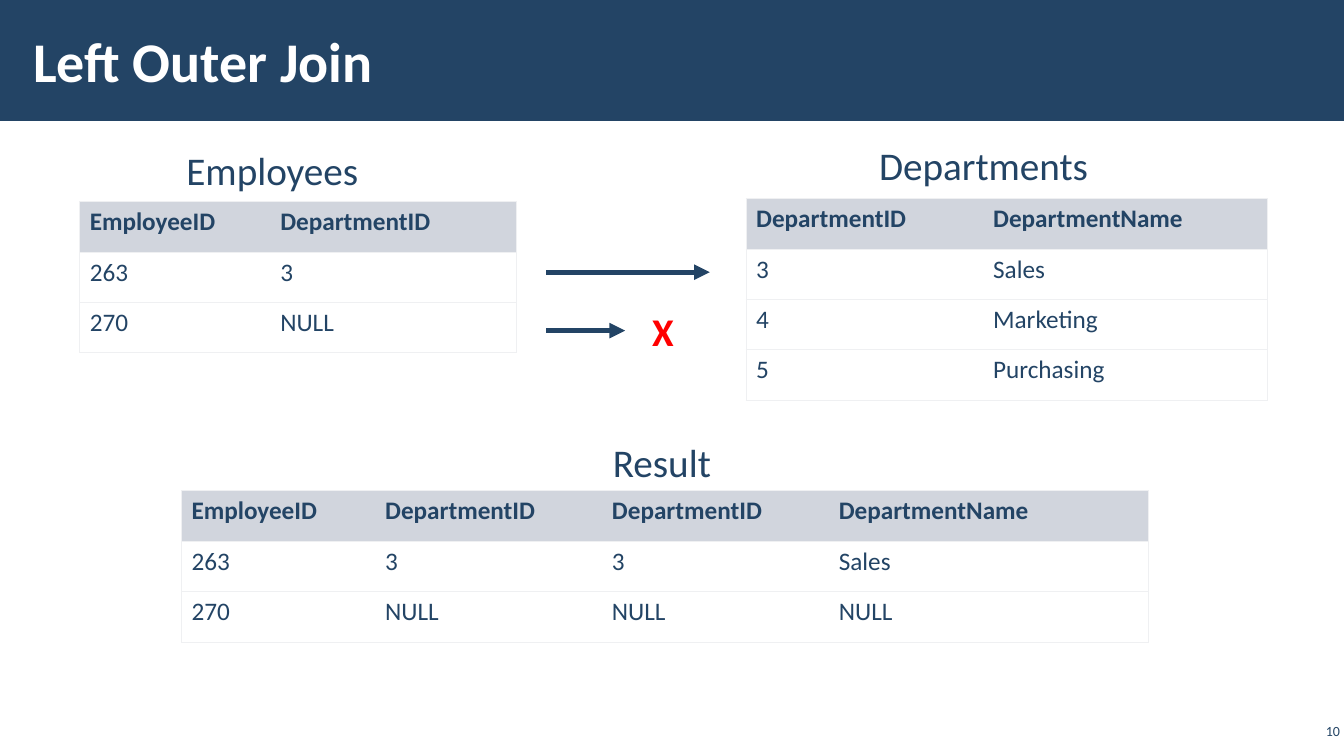
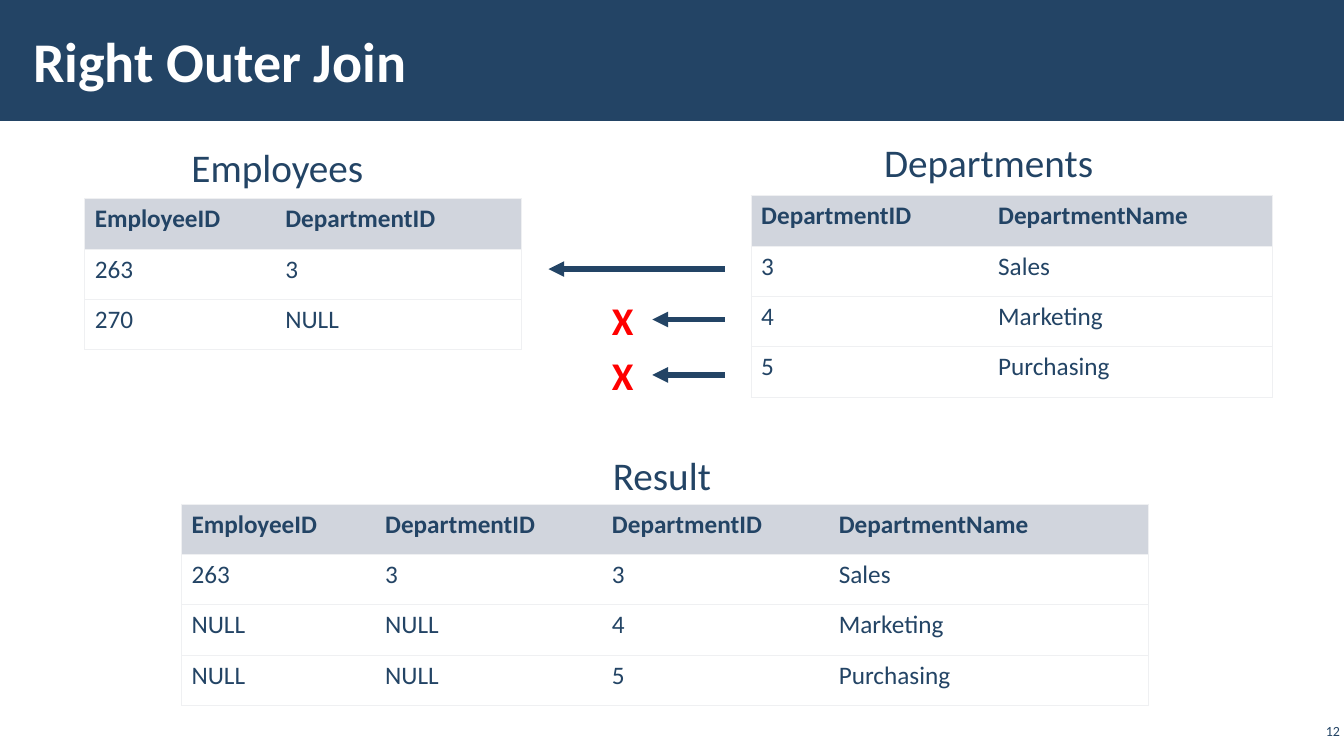
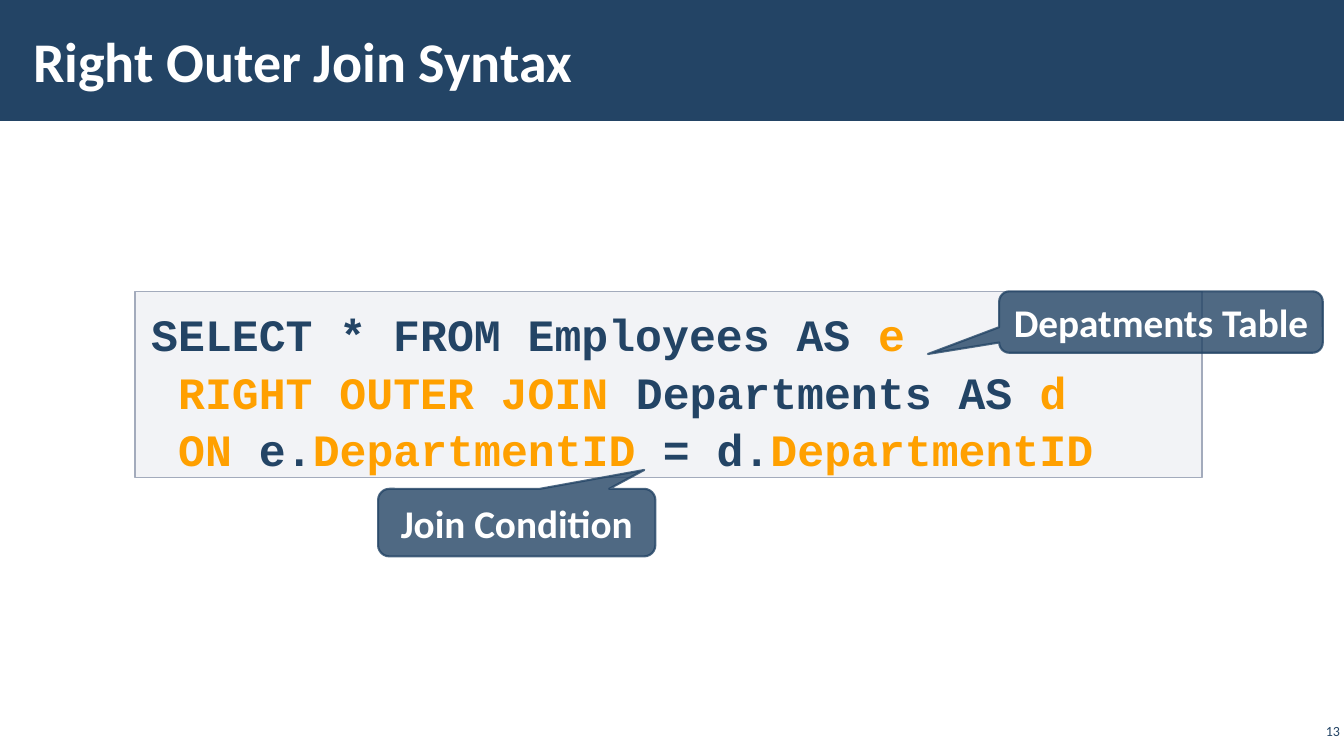
from dataclasses import dataclass

from pptx import Presentation
from pptx import util as u
from pptx.dml.color import RGBColor
from pptx.enum import shapes, text
from pptx.oxml import ns, xmlchemy

Inches = u.Inches


@dataclass(frozen=True)
class Theme:
    navy: str = "234465"
    white: str = "FFFFFF"
    red: str = "FF0000"
    orange: str = "FFA000"
    header_fill: str = "D1D5DD"
    cell_border: str = "EFF0F2"
    code_fill: str = "C2C7D2"
    code_border: str = "A3ABBC"
    body_font: str = "Calibri"
    code_font: str = "Courier New"
    title_size: float = 40
    code_size: float = 32
    label_size: float = 28
    cell_size: float = 18
    number_size: float = 10


THEME = Theme()
WIDTH, HEIGHT = 13.33, 7.5
ROW_HEIGHT = 0.5

DEPARTMENT_ROWS = [("3", "Sales"), ("4", "Marketing"), ("5", "Purchasing")]
EMPLOYEES = [("EmployeeID", "DepartmentID"), ("263", "3"), ("270", "NULL")]
DEPARTMENTS = [("DepartmentID", "DepartmentName"), *DEPARTMENT_ROWS]
RESULT_HEADER = EMPLOYEES[0] + DEPARTMENTS[0]
MATCHED_ROW = EMPLOYEES[1] + DEPARTMENTS[1]
LEFT_RESULT = [RESULT_HEADER, MATCHED_ROW, ("270", "NULL", "NULL", "NULL")]
RIGHT_RESULT = [RESULT_HEADER, MATCHED_ROW,
                *(("NULL", "NULL") + row for row in DEPARTMENT_ROWS[1:])]

CODE_LINES = [
    [("SELECT * FROM Employees AS ", THEME.navy), ("e", THEME.orange)],
    [(" ", THEME.navy), ("RIGHT OUTER JOIN ", THEME.orange),
     ("Departments AS ", THEME.navy), ("d", THEME.orange)],
    [(" ", THEME.navy), ("ON", THEME.orange), (" e.", THEME.navy),
     ("DepartmentID", THEME.orange), (" = d.", THEME.navy),
     ("DepartmentID", THEME.orange)],
]


def rgb(color):
    return RGBColor.from_string(color)


def style_run(run, size, color, bold=False, font=THEME.body_font):
    run.font.name = font
    run.font.size = u.Pt(size)
    run.font.bold = bold
    run.font.color.rgb = rgb(color)


def set_insets(frame, horizontal, vertical):
    frame.margin_left = frame.margin_right = Inches(horizontal)
    frame.margin_top = frame.margin_bottom = Inches(vertical)


def add_child(parent, tag, **attributes):
    child = xmlchemy.OxmlElement(tag)
    for name, value in attributes.items():
        child.set(name, value)
    parent.append(child)
    return child


def set_opacity(parent, percent):
    """Make the solid fill directly inside parent partly transparent."""
    color = parent.find(ns.qn("a:solidFill")).find(ns.qn("a:srgbClr"))
    add_child(color, "a:alpha", val=str(percent * 1000))


def add_text(slide, box, content, size, color, bold=False, wrap=False):
    """Place one line of text and return its frame."""
    frame = slide.shapes.add_textbox(*map(Inches, box)).text_frame
    frame.word_wrap = wrap
    frame.text = content
    style_run(frame.paragraphs[0].runs[0], size, color, bold)
    return frame


def add_filled_shape(slide, kind, box, fill, line, line_width, opacity):
    shape = slide.shapes.add_shape(kind, *map(Inches, box))
    shape.shadow.inherit = False
    shape.fill.solid()
    shape.fill.fore_color.rgb = rgb(fill)
    set_opacity(shape.element.spPr, opacity)
    shape.line.color.rgb = rgb(line)
    shape.line.width = u.Pt(line_width)
    return shape


def add_base_slide(presentation, title, number):
    """Start a slide with the title band and the slide number."""
    slide = presentation.slides.add_slide(presentation.slide_layouts[6])
    band = slide.shapes.add_shape(shapes.MSO_SHAPE.RECTANGLE, 0, 0,
                                  Inches(WIDTH), Inches(1.2))
    band.shadow.inherit = False
    band.fill.solid()
    band.fill.fore_color.rgb = rgb(THEME.navy)
    band.line.fill.background()

    title_frame = add_text(slide, (0.21, 0.11, 10.4, 0.97), title,
                           THEME.title_size, THEME.white, bold=True, wrap=True)
    set_insets(title_frame, 0.12, 0.04)
    number_frame = add_text(slide, (12.86, 7.14, 0.47, 0.22), number,
                            THEME.number_size, THEME.navy, wrap=True)
    set_insets(number_frame, 0.04, 0.04)
    number_frame.paragraphs[0].alignment = text.PP_ALIGN.RIGHT
    for frame in (title_frame, number_frame):
        frame.vertical_anchor = text.MSO_ANCHOR.MIDDLE
    return slide


def set_cell_borders(cell, visible_sides):
    properties = cell._tc.get_or_add_tcPr()
    for position, side in enumerate("LRTB"):
        line = xmlchemy.OxmlElement(f"a:ln{side}")
        line.set("w", str(u.Pt(0.75)))
        if side in visible_sides:
            fill = add_child(line, "a:solidFill")
            add_child(fill, "a:srgbClr", val=THEME.cell_border)
        else:
            add_child(line, "a:noFill")
        properties.insert(position, line)


def add_captioned_table(slide, left, top, rows, widths, caption, caption_box):
    """Place a table; caption_box is left, top (from the table) and width."""
    frame = slide.shapes.add_table(
        len(rows), len(widths), Inches(left), Inches(top),
        Inches(sum(widths)), Inches(ROW_HEIGHT * len(rows)))
    table = frame.table
    table.first_row = table.horz_banding = False
    for column, width in zip(table.columns, widths):
        column.width = Inches(width)
    for row_index, values in enumerate(rows):
        is_header = row_index == 0
        table.rows[row_index].height = Inches(ROW_HEIGHT)
        for column_index, value in enumerate(values):
            cell = table.cell(row_index, column_index)
            cell.text = value
            style_run(cell.text_frame.paragraphs[0].runs[0],
                      THEME.cell_size, THEME.navy, bold=is_header)
            if is_header:
                cell.fill.solid()
                cell.fill.fore_color.rgb = rgb(THEME.header_fill)
            else:
                cell.fill.background()
            sides = "TB"
            if column_index == 0:
                sides += "L"
            if column_index == len(widths) - 1:
                sides += "R"
            set_cell_borders(cell, sides)

    offset_x, offset_y, width = caption_box
    add_text(slide, (left + offset_x, top + offset_y, width, 0.57), caption,
             THEME.label_size, THEME.navy)


def add_arrow(slide, start_x, end_x, y):
    arrow = slide.shapes.add_connector(
        shapes.MSO_CONNECTOR.STRAIGHT,
        Inches(start_x), Inches(y), Inches(end_x), Inches(y))
    arrow.line.color.rgb = rgb(THEME.navy)
    arrow.line.width = u.Pt(3.75)
    add_child(arrow.line._get_or_add_ln(), "a:tailEnd", type="triangle")
    add_child(arrow._element.spPr, "a:effectLst")


def add_source_tables(slide, left, top, matches):
    """Place both tables and, between them, (start, end, y, cross) matches."""
    add_captioned_table(slide, left, top + 0.03, EMPLOYEES, (1.89, 2.44),
                        "Employees", (0.96, -0.6, 1.92))
    add_captioned_table(slide, left + 6.61, top, DEPARTMENTS, (2.35, 2.82),
                        "Departments", (1.22, -0.62, 2.3))
    for start, end, y, cross in matches:
        add_arrow(slide, left + start, left + end, top + y)
        if cross is not None:
            add_text(slide, (left + cross, top + y - 0.28, 0.42, 0.57), "X",
                     THEME.label_size, THEME.red, bold=True)


def add_result_table(slide, left, top, rows):
    add_captioned_table(slide, left, top, rows, (1.92, 2.25, 2.25, 3.17),
                        "Result", (4.18, -0.57, 1.19))


def add_code_box(slide, box, lines):
    shape = add_filled_shape(slide, shapes.MSO_SHAPE.RECTANGLE, box,
                             THEME.code_fill, THEME.code_border, 1, 20)
    frame = shape.text_frame
    frame.word_wrap = True
    frame.vertical_anchor = text.MSO_ANCHOR.TOP
    set_insets(frame, 0.16, 0.12)
    for index, line in enumerate(lines):
        paragraph = frame.add_paragraph() if index else frame.paragraphs[0]
        paragraph.alignment = text.PP_ALIGN.LEFT
        paragraph.line_spacing = 1.07
        for content, color in line:
            run = paragraph.add_run()
            run.text = content
            style_run(run, THEME.code_size, color, True, THEME.code_font)


def add_callout(slide, box, content, pointer):
    """Place a callout; pointer is its tip as fractions from the centre."""
    shape = add_filled_shape(
        slide, shapes.MSO_SHAPE.ROUNDED_RECTANGULAR_CALLOUT, box,
        THEME.navy, THEME.navy, 1.5, 80)
    set_opacity(shape.element.spPr.find(ns.qn("a:ln")), 80)
    shape.adjustments[0], shape.adjustments[1] = pointer
    frame = shape.text_frame
    frame.word_wrap = False
    frame.vertical_anchor = text.MSO_ANCHOR.MIDDLE
    frame.text = content
    paragraph = frame.paragraphs[0]
    paragraph.alignment = text.PP_ALIGN.CENTER
    style_run(paragraph.runs[0], THEME.label_size, THEME.white, bold=True)


def build_left_join(presentation):
    slide = add_base_slide(presentation, "Left Outer Join", "10")
    add_source_tables(slide, 0.79, 1.97, [(4.63, 6.25, 0.73, None),
                                          (4.63, 5.41, 1.31, 5.58)])
    add_result_table(slide, 1.8, 4.87, LEFT_RESULT)


def build_right_join(presentation):
    slide = add_base_slide(presentation, "Right Outer Join", "12")
    add_source_tables(slide, 0.84, 1.94, [(6.35, 4.6, 0.73, None),
                                          (6.35, 5.63, 1.23, 5.13),
                                          (6.35, 5.63, 1.78, 5.13)])
    add_result_table(slide, 1.8, 5, RIGHT_RESULT)


def build_right_join_syntax(presentation):
    slide = add_base_slide(presentation, "Right Outer Join Syntax", "13")
    add_code_box(slide, (1.34, 2.89, 10.58, 1.85), CODE_LINES)
    add_callout(slide, (9.91, 2.89, 3.21, 0.61), "Depatments Table",
                (-0.72, 0.52))
    add_callout(slide, (3.75, 4.85, 2.75, 0.67), "Join Condition",
                (0.46, -0.78))


def main():
    presentation = Presentation()
    presentation.slide_width = Inches(WIDTH)
    presentation.slide_height = Inches(HEIGHT)
    build_left_join(presentation)
    build_right_join(presentation)
    build_right_join_syntax(presentation)
    presentation.save("out.pptx")


if __name__ == "__main__":
    main()
